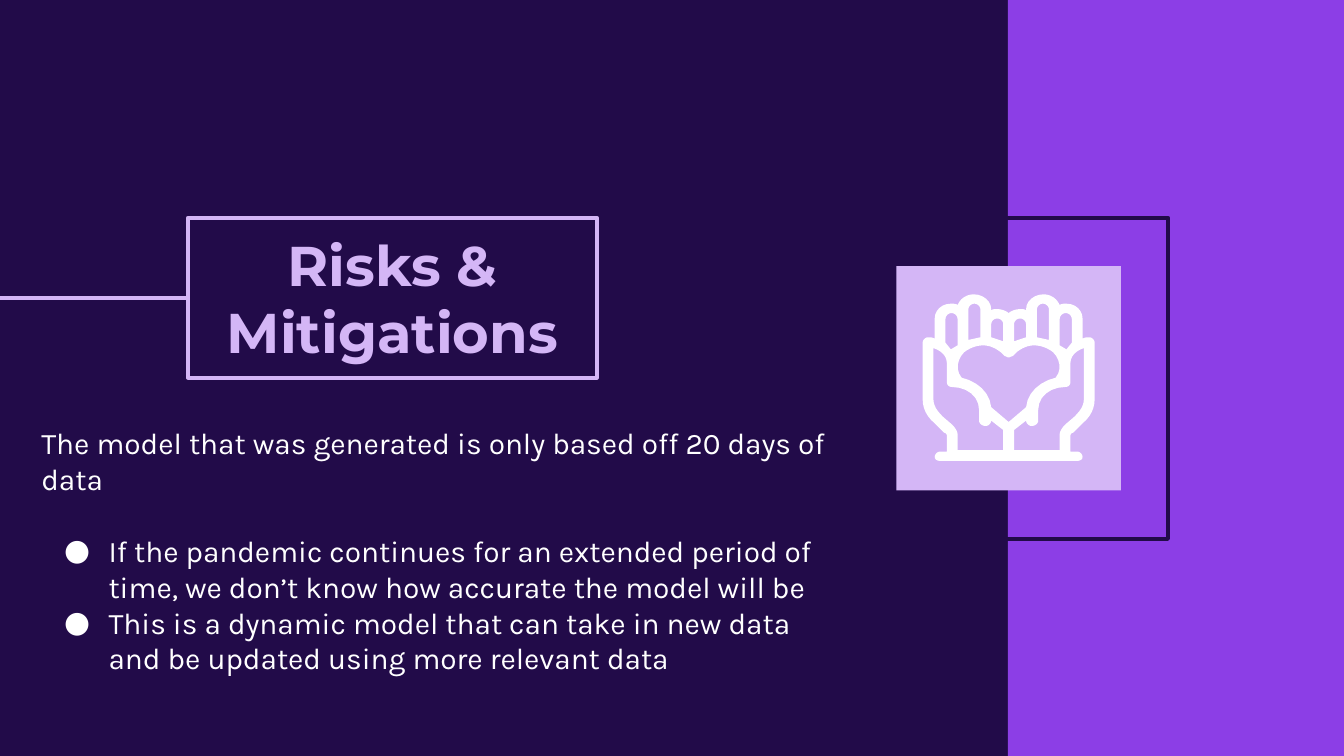
from lxml import etree
from math import cos, pi, sin
from pptx import Presentation
from pptx.dml.color import RGBColor
from pptx.enum.shapes import MSO_CONNECTOR, MSO_SHAPE
from pptx.enum.text import MSO_ANCHOR, PP_ALIGN
from pptx.oxml.ns import qn
from pptx.util import Inches, Pt

NIGHT = RGBColor(0x22, 0x0B, 0x49)
VIOLET = RGBColor(0x8C, 0x3E, 0xE6)
LILAC = RGBColor(0xD4, 0xB6, 0xF6)
WHITE = RGBColor(0xFF, 0xFF, 0xFF)

SLIDE_WIDTH = 10
SLIDE_HEIGHT = SLIDE_WIDTH * 9 / 16

TITLE = "Risks & Mitigations"
INTRO = "The model that was generated is only based off 20 days of data"
RISKS = [
    "If the pandemic continues for an extended period of time, "
    "we don’t know how accurate the model will be",
    "This is a dynamic model that can take in new data "
    "and be updated using more relevant data",
]

# Icon half outlines in hundredths of an inch: distance from the centre line,
# then depth from the top. Pairs are corners, six numbers are a Bézier curve.
SILHOUETTE = [
    (0, 14), (2, 12, 6, 11, 9, 11), (10, 11, 12, 11, 13, 12), (13, 11),
    (13, 5, 19, 0, 26, 0), (31, 0, 36, 3, 38, 8), (39, 7, 41, 7, 43, 7),
    (50, 7, 55, 12, 55, 18), (55, 33), (57, 32, 58, 32, 60, 32),
    (62, 32, 64, 34, 64, 36), (64, 78), (64, 85, 61, 91, 55, 96), (48, 103),
    (47, 103, 46, 104, 46, 105), (46, 117), (51, 117),
    (53, 117, 55, 119, 55, 121), (55, 123, 53, 124, 51, 124), (0, 124),
]
HEART = [
    (0, 47), (1, 47, 2, 46, 3, 46), (6, 43), (10, 40, 14, 38, 19, 38),
    (24, 38, 29, 40, 33, 43), (38, 48, 40, 56, 35, 62),
    (23, 65, 14, 73, 13, 84), (0, 95),
]
PALM = [
    (56, 40), (50, 42, 46, 46, 46, 51), (46, 65), (46, 67, 45, 69, 42, 69),
    (31, 69, 22, 76, 22, 86), (22, 94), (22, 96, 20, 98, 17, 98),
    (15, 98, 13, 96, 13, 94), (4, 101), (4, 116), (38, 116), (38, 104),
    (38, 102, 40, 99, 42, 97), (49, 91), (53, 87, 56, 83, 56, 78),
]
# Inner edge, tip, then the lower corners from the inner to the outer edge.
FINGERS = [
    (4, 18, [(4, 35), (13, 32)]),
    (21, 7, [(21, 32), (30, 34)]),
    (38, 14, [(38, 38), (43, 41), (47, 36)]),
]
FINGER_WIDTH = 9


def style(shape, fill=None, line=None):
    shape.shadow.inherit = False
    if fill is None:
        shape.fill.background()
    else:
        shape.fill.solid()
        shape.fill.fore_color.rgb = fill
    if line is None:
        shape.line.fill.background()
    else:
        shape.line.color.rgb = line
        shape.line.width = Pt(2.25)


def add_rectangle(page, box, fill=None, line=None):
    shape = page.shapes.add_shape(MSO_SHAPE.RECTANGLE, *map(Inches, box))
    style(shape, fill, line)
    return shape


def set_frame(frame, anchor):
    frame.word_wrap = True
    frame.vertical_anchor = anchor
    for side in ("left", "top", "right", "bottom"):
        setattr(frame, f"margin_{side}", Inches(0.1))


def write(para, text, **font):
    span = para.add_run()
    span.text = text
    color = font.pop("color")
    for name, value in font.items():
        setattr(span.font, name, value)
    span.font.color.rgb = color


def add_bullet(para):
    properties = para._p.get_or_add_pPr()
    properties.set("marL", str(Inches(0.5)))
    properties.set("indent", str(-Inches(0.33)))
    color = etree.SubElement(properties, qn("a:buClr"))
    etree.SubElement(color, qn("a:srgbClr"), val=str(WHITE))
    etree.SubElement(properties, qn("a:buFont"), typeface="Karla")
    etree.SubElement(properties, qn("a:buChar"), char="●")


def add_title(page, box):
    """Framed title with a rule running in from the slide's left edge."""
    left, top, _, height = box
    frame = add_rectangle(page, box, NIGHT, LILAC)
    set_frame(frame.text_frame, MSO_ANCHOR.MIDDLE)
    para = frame.text_frame.paragraphs[0]
    para.alignment = PP_ALIGN.CENTER
    write(para, TITLE, name="Montserrat", size=Pt(30), bold=True, color=LILAC)

    middle = Inches(top + height / 2)
    rule = page.shapes.add_connector(
        MSO_CONNECTOR.STRAIGHT, Inches(left), middle, 0, middle)
    rule.begin_connect(frame, 1)
    rule.line.color.rgb = LILAC
    rule.line.width = Pt(2.25)
    etree.SubElement(rule._element.spPr, qn("a:effectLst"))


def add_body(page, box):
    frame = page.shapes.add_textbox(*map(Inches, box)).text_frame
    set_frame(frame, MSO_ANCHOR.TOP)
    font = dict(name="Karla", size=Pt(16), color=WHITE)
    write(frame.paragraphs[0], INTRO, **font)
    for index, risk in enumerate(RISKS):
        para = frame.add_paragraph()
        para.space_before = Pt(0 if index else 19.5)
        add_bullet(para)
        write(para, risk, **font)


def flatten(outline, steps=6):
    """Turn corners and Bézier curves into a list of points."""
    points = [outline[0]]
    for part in outline[1:]:
        if len(part) == 2:
            points.append(part)
            continue
        controls = [points[-1], part[:2], part[2:4], part[4:]]
        for step in range(1, steps + 1):
            t = step / steps
            weights = ((1 - t) ** 3, 3 * t * (1 - t) ** 2,
                       3 * t ** 2 * (1 - t), t ** 3)
            points.append(tuple(
                sum(w * c[axis] for w, c in zip(weights, controls))
                for axis in (0, 1)))
    return points


def mirror(points):
    return [(-x, y) for x, y in points]


def finger(inner, tip, corners, steps=12):
    """Slot with a half-round tip."""
    radius = FINGER_WIDTH / 2
    arc = [(inner + radius + radius * cos(pi * step / steps),
            tip + radius - radius * sin(pi * step / steps))
           for step in range(steps + 1)]
    return arc + corners


def add_hands(page, center, top):
    """Two open hands around a heart, as one outline with holes."""
    contours = []
    for half in map(flatten, (SILHOUETTE, HEART)):
        contours.append(half + mirror(half)[::-1])
    for hole in [flatten(PALM)] + [finger(*part) for part in FINGERS]:
        contours += [hole, mirror(hole)]

    builder = None
    for contour in contours:
        points = [(Inches(center + x / 100), Inches(top + y / 100))
                  for x, y in contour]
        if builder is None:
            builder = page.shapes.build_freeform(*points[0])
        else:
            builder.move_to(*points[0])
        builder.add_line_segments(points[1:], close=True)
    style(builder.convert_to_shape(), WHITE)


def add_emblem(page, box):
    left, top, size = box
    add_rectangle(page, (left, top, size, size), line=NIGHT)
    tile = 1.67
    tile_left, tile_top = left + 0.37, top + 0.36
    add_rectangle(page, (tile_left, tile_top, tile, tile), LILAC)
    add_hands(page, tile_left + tile / 2, tile_top + 0.21)


def build_slide(deck):
    page = deck.slides.add_slide(deck.slide_layouts[6])
    page.background.fill.solid()
    page.background.fill.fore_color.rgb = NIGHT
    add_rectangle(page, (7.5, 0, 2.5, SLIDE_HEIGHT), VIOLET)
    add_body(page, (0.21, 3.06, 6.16, 2.67))
    add_title(page, (1.4, 1.62, 3.04, 1.19))
    add_emblem(page, (6.3, 1.62, 2.39))


def main():
    deck = Presentation()
    deck.slide_width = Inches(SLIDE_WIDTH)
    deck.slide_height = Inches(SLIDE_HEIGHT)
    build_slide(deck)
    deck.save("out.pptx")


if __name__ == "__main__":
    main()
